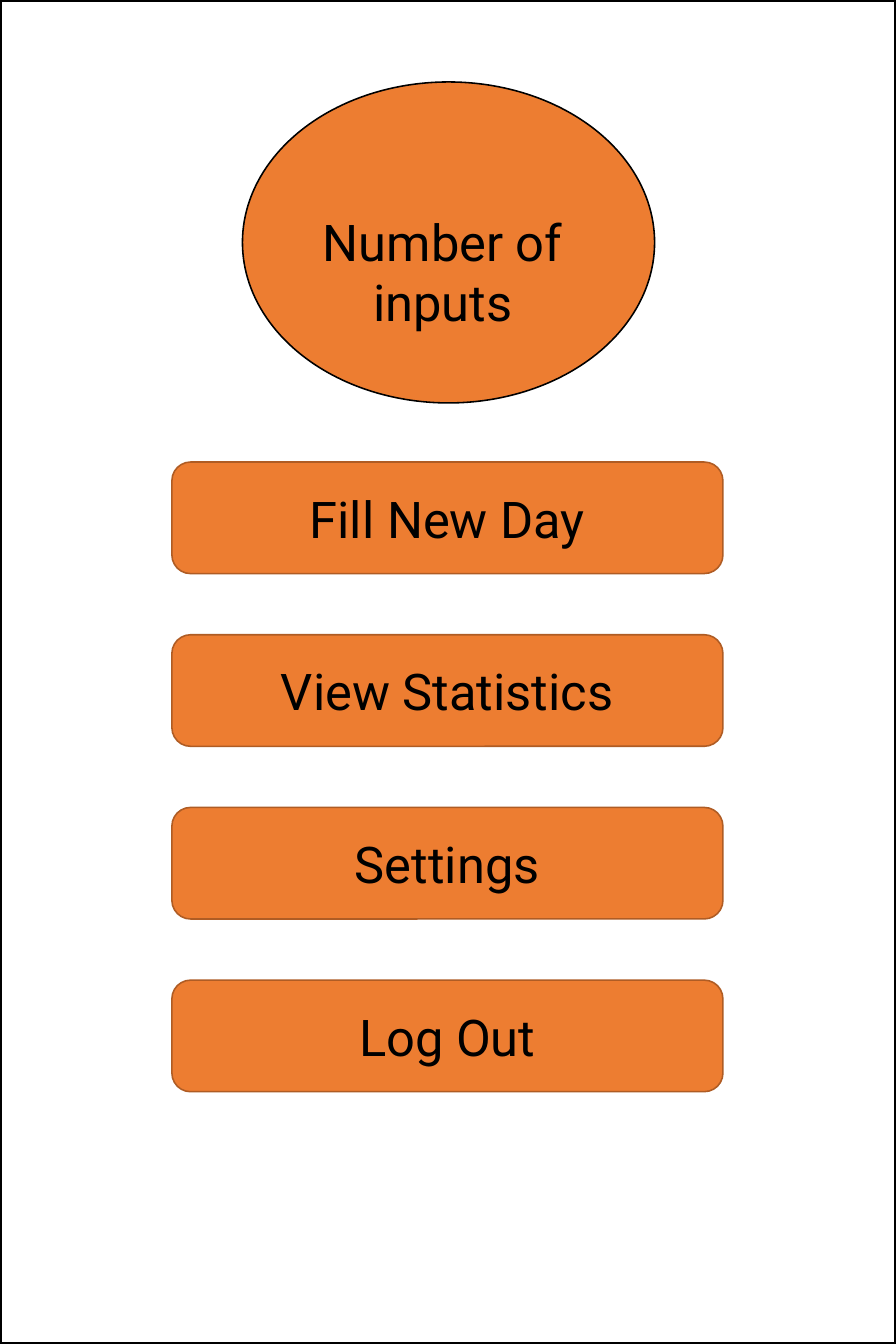
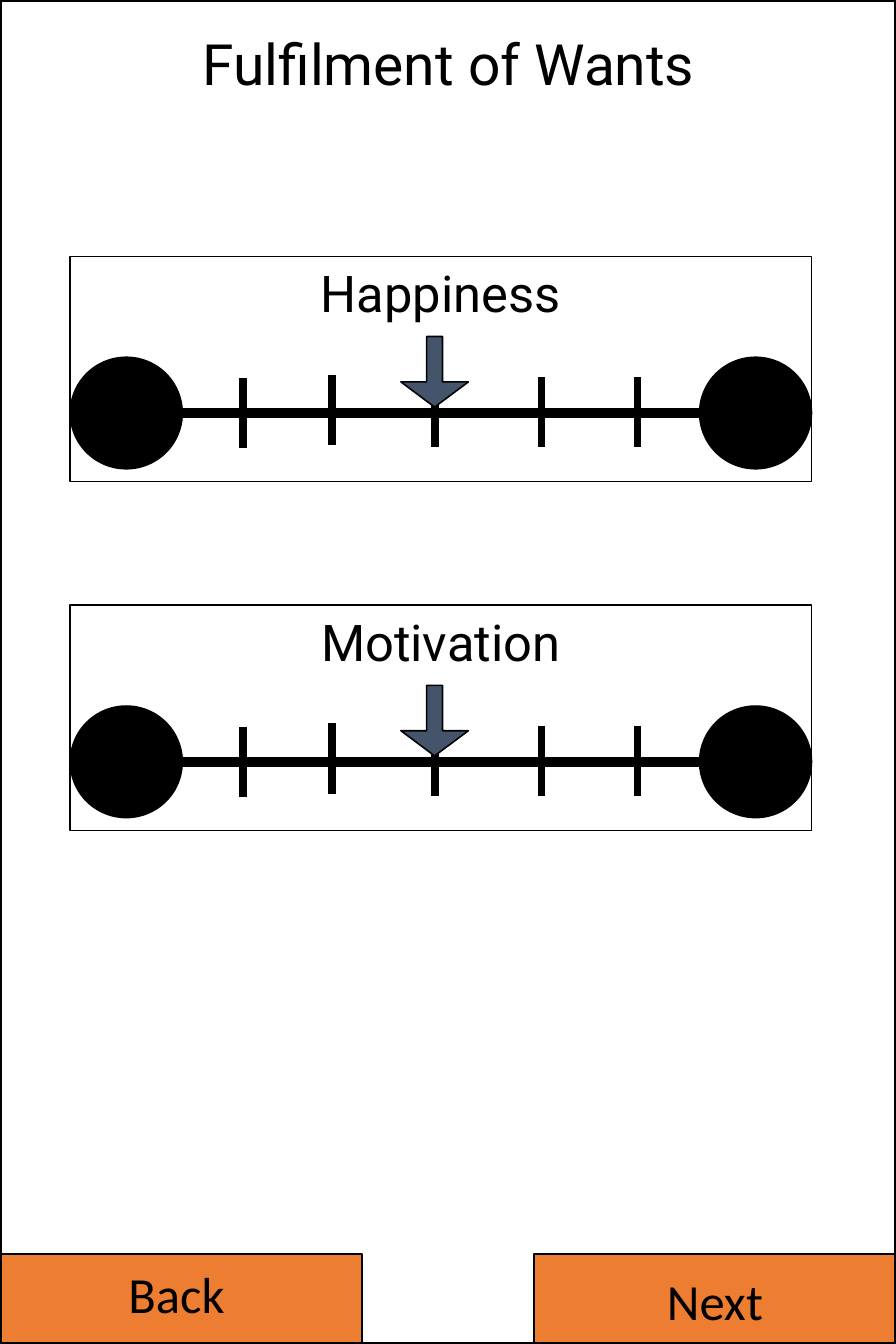
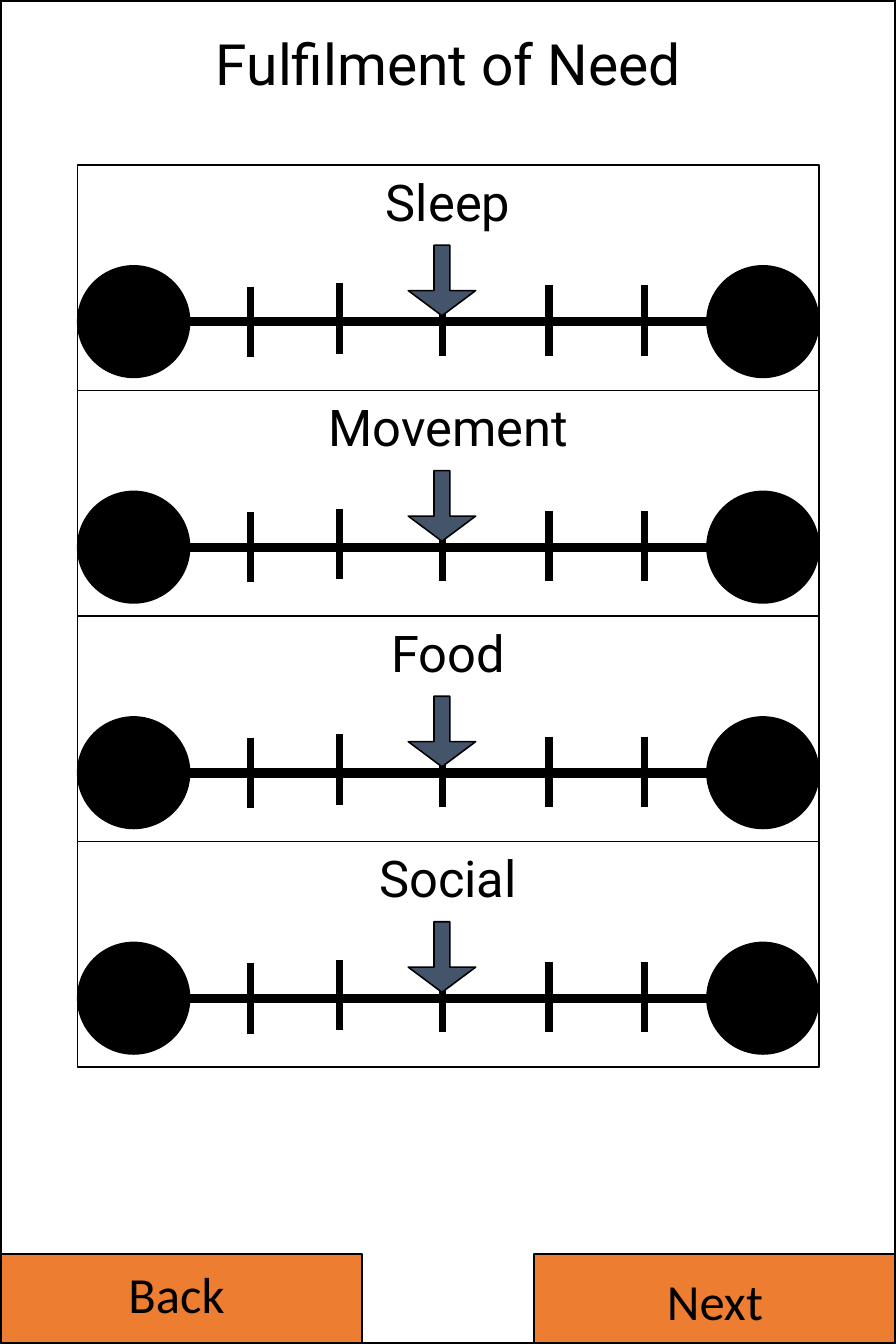
from dataclasses import dataclass

from lxml import etree
from pptx import Presentation
from pptx.dml.color import RGBColor
from pptx.enum.shapes import MSO_CONNECTOR, MSO_SHAPE
from pptx.enum.text import MSO_ANCHOR, PP_ALIGN
from pptx.oxml.ns import qn
from pptx.util import Inches, Pt

RECTANGLE = MSO_SHAPE.RECTANGLE
ROUNDED = MSO_SHAPE.ROUNDED_RECTANGLE
OVAL = MSO_SHAPE.OVAL
DOWN_ARROW = MSO_SHAPE.DOWN_ARROW
STRAIGHT = MSO_CONNECTOR.STRAIGHT
CENTER = PP_ALIGN.CENTER
TOP, MIDDLE = MSO_ANCHOR.TOP, MSO_ANCHOR.MIDDLE
BLANK_LAYOUT = 6


@dataclass(frozen=True)
class Theme:
    """Colours, fonts, type sizes and line widths shared by the slides."""
    ink: str = "000000"
    paper: str = "FFFFFF"
    accent: str = "ED7D31"
    accent_edge: str = "AF5C24"
    pointer: str = "44546A"
    font: str = "Roboto"
    nav_font: str = "Calibri"
    title_size: int = 36
    label_size: int = 32
    thin: float = 1
    frame: float = 3
    tick: float = 4.5
    scale: float = 6


@dataclass(frozen=True)
class Box:
    """An area of a slide, subdivided in percent of its own size."""
    left: int
    top: int
    width: int
    height: int

    def point(self, across, down):
        """Return the position at the given percentages."""
        return (round(self.left + self.width * across / 100),
                round(self.top + self.height * down / 100))

    def inner(self, left, top, width, height):
        """Return the inner box at the given percentages."""
        return Box(*self.point(left, top),
                   round(self.width * width / 100),
                   round(self.height * height / 100))

    @property
    def bounds(self):
        """Return the four lengths in the order python-pptx takes them."""
        return self.left, self.top, self.width, self.height


THEME = Theme()
PAGE = Box(0, 0, Inches(7.87), Inches(11.81))
TICKS = [(23.3, 54), (35.3, 52.5), (49.2, 53.5), (63.6, 53.5), (76.5, 53.5)]
TICK_HEIGHT = 31.2
DISC_WIDTH, DISC_HEIGHT = 15.1, 49.5
SCALE_LEVEL = 69.6


def write(shape, text, size=THEME.label_size, font=THEME.font, anchor=MIDDLE):
    """Put centred text into a shape or text box."""
    frame = shape.text_frame
    frame.word_wrap = True
    frame.vertical_anchor = anchor
    frame.text = text
    para = frame.paragraphs[0]
    para.alignment = CENTER
    para.font.size = Pt(size)
    para.font.name = font
    para.font.color.rgb = RGBColor.from_string(THEME.ink)


def add_label(page, box, text, **style):
    """Add a text box with text starting at its top."""
    write(page.shapes.add_textbox(*box.bounds), text, anchor=TOP, **style)


def add_figure(page, kind, box, fill, edge=THEME.ink, weight=THEME.thin):
    """Add an outlined preset shape, unfilled if fill is None."""
    shape = page.shapes.add_shape(kind, *box.bounds)
    shape.shadow.inherit = False
    if fill is None:
        shape.fill.background()
    else:
        shape.fill.solid()
        shape.fill.fore_color.rgb = RGBColor.from_string(fill)
    shape.line.color.rgb = RGBColor.from_string(edge)
    shape.line.width = Pt(weight)
    return shape


def add_line(page, start, end, weight):
    """Add a straight black line without a shadow."""
    line = page.shapes.add_connector(STRAIGHT, *start, *end)
    line.line.color.rgb = RGBColor.from_string(THEME.ink)
    line.line.width = Pt(weight)
    etree.SubElement(line._element.spPr, qn("a:effectLst"))


def add_gauge(page, box, name):
    """Draw a named slider card with two end discs, ticks and a pointer."""
    card = add_figure(page, RECTANGLE, box, THEME.paper)
    write(card, name, anchor=TOP)
    for left in (0, 100 - DISC_WIDTH):
        disc = box.inner(left, 44.8, DISC_WIDTH, DISC_HEIGHT)
        add_figure(page, OVAL, disc, THEME.ink)
    add_line(page, box.point(DISC_WIDTH, SCALE_LEVEL),
             box.point(100 - DISC_WIDTH, SCALE_LEVEL), THEME.scale)
    for across, down in TICKS:
        add_line(page, box.point(across, down),
                 box.point(across, down + TICK_HEIGHT), THEME.tick)
    pointer = add_figure(page, DOWN_ARROW, box.inner(44.6, 35.6, 9.1, 31.3),
                         THEME.pointer)
    pointer.adjustments[0] = 0.235
    pointer.adjustments[1] = 0.373


def add_navigation(page, box):
    """Draw the Back and Next buttons at both ends of the footer."""
    for text, left, inset, drop in (("Back", 0, 14.5, 3.7),
                                    ("Next", 59.6, 15.7, 11)):
        button = box.inner(left, 0, 40.4, 100)
        add_figure(page, RECTANGLE, button, THEME.accent)
        add_label(page, button.inner(inset, drop, 68.6, 78), text,
                  font=THEME.nav_font)


def add_frame(page, box):
    """Outline the whole screen."""
    add_figure(page, RECTANGLE, box, None, weight=THEME.frame)


def build_menu(page, box, counter, entries):
    """Build the home screen: a counter disc above a column of buttons."""
    disc = box.inner(27.06, 6.1, 46, 23.88)
    add_figure(page, OVAL, disc, THEME.accent)
    add_label(page, disc.inner(0, 38.3, 97.2, 41.8), counter)
    for row, entry in enumerate(entries):
        button = add_figure(page, ROUNDED,
                            box.inner(19.19, 34.38 + 12.85 * row, 61.5, 8.3),
                            THEME.accent, THEME.accent_edge)
        write(button, entry)
    add_frame(page, box)


def build_survey(page, box, title, names, left, top, pitch):
    """Build a screen of sliders with a title and navigation."""
    add_label(page, box.inner(10.67, 1.69, 78.78, 6.01), title,
              size=THEME.title_size)
    for row, name in enumerate(names):
        add_gauge(page, box.inner(left, top + pitch * row, 82.72, 16.77), name)
    add_navigation(page, box.inner(0, 93.31, 100, 6.94))
    add_frame(page, box)


def main():
    """Build and save the three screens."""
    deck = Presentation()
    deck.slide_width, deck.slide_height = PAGE.width, PAGE.height
    blank = deck.slide_layouts[BLANK_LAYOUT]
    build_menu(deck.slides.add_slide(blank), PAGE, "Number of inputs",
               ["Fill New Day", "View Statistics", "Settings", "Log Out"])
    build_survey(deck.slides.add_slide(blank), PAGE, "Fulfilment of Wants",
                 ["Happiness", "Motivation"], 7.85, 19.07, 25.95)
    build_survey(deck.slides.add_slide(blank), PAGE, "Fulfilment of Need",
                 ["Sleep", "Movement", "Food", "Social"], 8.67, 12.27, 16.78)
    deck.save("out.pptx")


if __name__ == "__main__":
    main()
